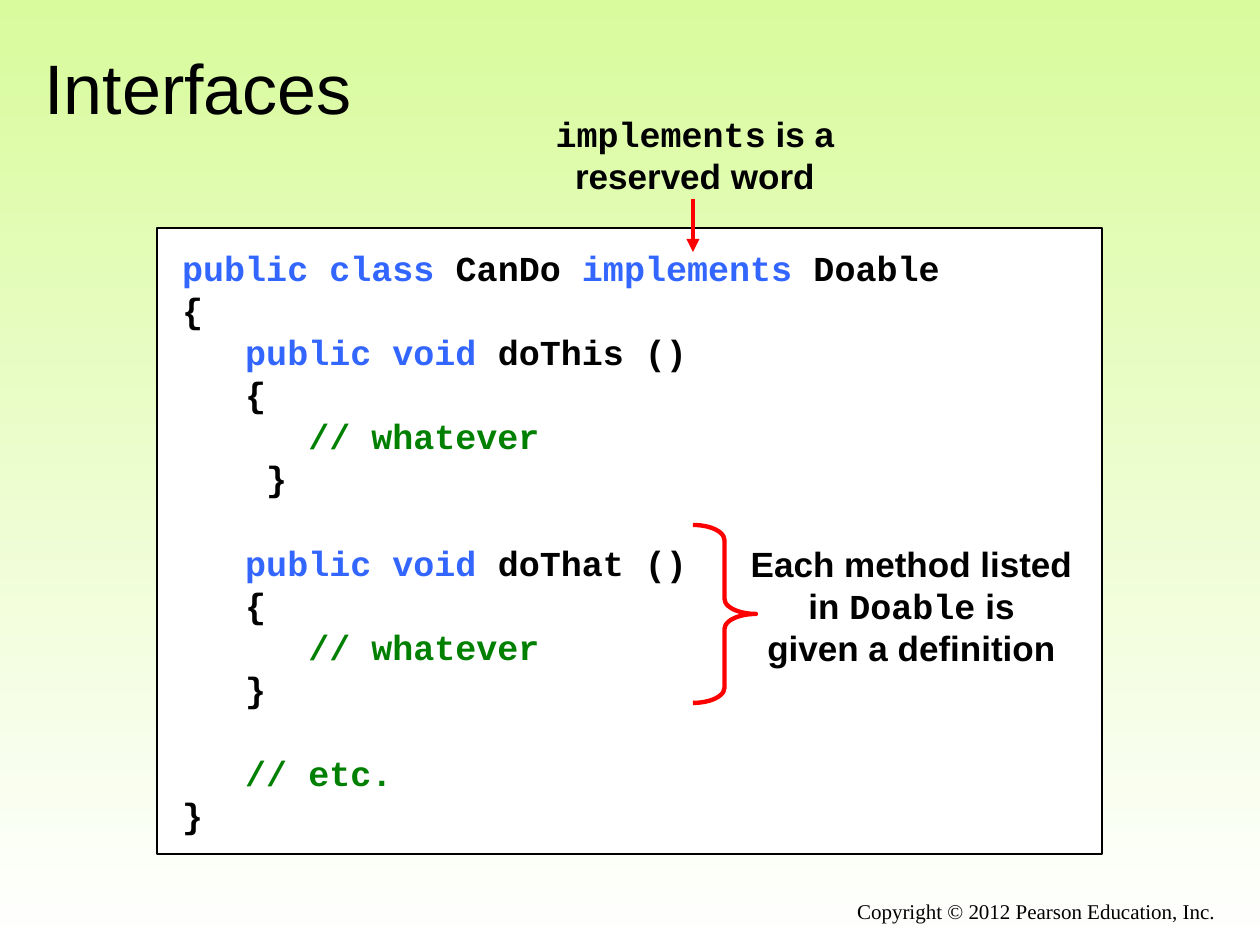
import pptx
import pptx.util
import pptx.dml.color
import pptx.enum.shapes
import pptx.enum.text
import pptx.oxml.ns
from lxml import etree

PX = 914400 // 126
COLORS = {"text": "000000", "keyword": "3366FF", "comment": "008000",
          "accent": "FF0000", "paper": "FFFFFF", "top": "D9FB9D"}
SANS, MONO, SERIF = "Arial", "Courier New", "Times New Roman"
ALIGN = pptx.enum.text.PP_ALIGN
ANCHOR = pptx.enum.text.MSO_ANCHOR
SHAPE = pptx.enum.shapes.MSO_SHAPE
LINE_PT = 24


def rgb(name):
    return pptx.dml.color.RGBColor.from_string(COLORS[name])


def px(*lengths):
    return [n * PX for n in lengths]


def set_attrs(target, values):
    for name, value in values.items():
        setattr(target, name, value)


def set_background(s):
    fill = s.background.fill
    fill.gradient()
    fill.gradient_angle = 270
    for stop, name, position in zip(fill.gradient_stops, ("top", "paper"), (0, 1)):
        stop.color.rgb = rgb(name)
        stop.position = position


def add_run(p, text, size, font=SANS, color="text", bold=False):
    r = p.add_run()
    r.text = text
    set_attrs(r.font, {"size": pptx.util.Pt(size), "name": font, "bold": bold})
    r.font.color.rgb = rgb(color)


def format_frame(tf, anchor, wrap=True, inset=(12.6, 6.3)):
    x, y = (round(n * PX) for n in inset)
    set_attrs(tf, {"margin_left": x, "margin_right": x, "margin_top": y,
                   "margin_bottom": y, "vertical_anchor": anchor, "word_wrap": wrap})


def next_paragraph(tf, index):
    return tf.add_paragraph() if index else tf.paragraphs[0]


def set_title(s, box, text):
    sp = s.shapes.title
    set_attrs(sp, dict(zip(("left", "top", "width", "height"), px(*box))))
    format_frame(sp.text_frame, ANCHOR.MIDDLE)
    p = sp.text_frame.paragraphs[0]
    p.alignment = ALIGN.LEFT
    add_run(p, text, 40)


def add_copyright(s, box, text):
    tf = s.shapes.add_textbox(*px(*box)).text_frame
    format_frame(tf, ANCHOR.TOP)
    p = tf.paragraphs[0]
    p.alignment = ALIGN.RIGHT
    add_run(p, text, 12, SERIF)


def add_note(s, box, lines):
    tf = s.shapes.add_textbox(*px(*box)).text_frame
    format_frame(tf, ANCHOR.MIDDLE, wrap=False)
    for i, runs in enumerate(lines):
        p = next_paragraph(tf, i)
        set_attrs(p, {"alignment": ALIGN.CENTER, "line_spacing": pptx.util.Pt(LINE_PT)})
        for text, font in runs:
            add_run(p, text, 20, font, bold=True)


def add_code(s, box, blocks):
    sp = s.shapes.add_shape(SHAPE.RECTANGLE, *px(*box))
    sp.shadow.inherit = False
    sp.fill.solid()
    sp.fill.fore_color.rgb = rgb("paper")
    sp.line.color.rgb = rgb("text")
    sp.line.width = pptx.util.Pt(0.75)
    tf = sp.text_frame
    format_frame(tf, ANCHOR.TOP, inset=(25.2, 18.9))
    count = 0
    for block in blocks:
        for i, runs in enumerate(block):
            p = next_paragraph(tf, count)
            gap = LINE_PT if count and i == 0 else 0
            set_attrs(p, {"alignment": ALIGN.LEFT, "space_before": pptx.util.Pt(gap),
                          "line_spacing": pptx.util.Pt(LINE_PT)})
            for text, color in runs:
                add_run(p, text, 20, MONO, color, True)
            count += 1


def add_arrow(s, ends):
    line = s.shapes.add_connector(pptx.enum.shapes.MSO_CONNECTOR.STRAIGHT, *px(*ends))
    line.line.color.rgb = rgb("accent")
    line.line.width = pptx.util.Pt(2.5)
    qn = pptx.oxml.ns.qn
    etree.SubElement(line.line._get_or_add_ln(), qn("a:tailEnd"), type="triangle")
    etree.SubElement(line._element.spPr, qn("a:effectLst"))


def add_brace(s, box):
    sp = s.shapes.add_shape(SHAPE.RIGHT_BRACE, *px(*box))
    sp.adjustments[0] = 0.24
    sp.shadow.inherit = False
    sp.fill.background()
    sp.line.color.rgb = rgb("accent")
    sp.line.width = pptx.util.Pt(2.5)


def method(name, closing):
    return [[("   public void ", "keyword"), (name + " ()", "text")],
            [("   {", "text")],
            [("      // whatever", "comment")],
            [(closing, "text")]]


def main():
    prs = pptx.Presentation()
    set_attrs(prs, {"slide_width": 1260 * PX, "slide_height": 945 * PX})
    s = prs.slides.add_slide(prs.slide_layouts[5])
    set_background(s)
    set_title(s, (32, 38, 1197, 98), "Interfaces")
    add_copyright(s, (462, 892, 766, 43), "Copyright © 2012 Pearson Education, Inc.")
    header = [[("public class ", "keyword"), ("CanDo ", "text"),
               ("implements ", "keyword"), ("Doable", "text")],
              [("{", "text")]]
    footer = [[("   // etc.", "comment")], [("}", "text")]]
    add_code(s, (157, 228, 945, 626),
             [header + method("doThis", "    }"), method("doThat", "   }"), footer])
    add_note(s, (543, 106, 304, 97),
             [[("implements", MONO), (" is a", SANS)], [("reserved word", SANS)]])
    add_arrow(s, (693, 199, 693, 252))
    add_note(s, (738, 536, 347, 139),
             [[("Each method listed", SANS)],
              [("in ", SANS), ("Doable", MONO), (" is", SANS)],
              [("given a definition", SANS)]])
    add_brace(s, (693, 525, 63, 178))
    prs.save("out.pptx")


if __name__ == "__main__":
    main()
